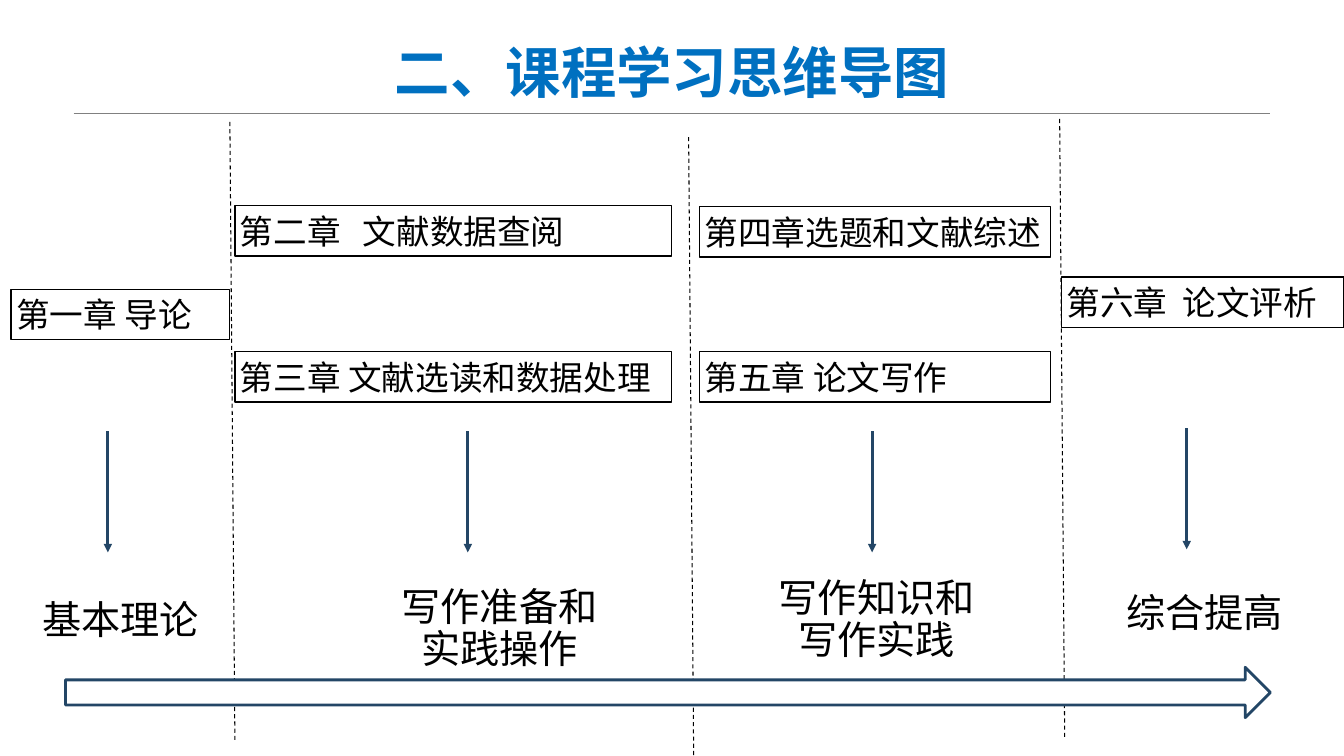
from lxml.etree import SubElement
from pptx import Presentation
from pptx.dml.color import RGBColor
from pptx.enum.dml import MSO_LINE
from pptx.enum.shapes import MSO_CONNECTOR, MSO_SHAPE
from pptx.enum.text import MSO_ANCHOR, PP_ALIGN
from pptx.oxml.ns import qn
from pptx.util import Inches, Pt

BLACK = RGBColor(0x00, 0x00, 0x00)
WHITE = RGBColor(0xFF, 0xFF, 0xFF)
GRAY = RGBColor(0x80, 0x80, 0x80)
BLUE = RGBColor(0x00, 0x70, 0xC0)
NAVY = RGBColor(0x23, 0x46, 0x66)
FONT = "Noto Sans CJK SC"

# text, left, top, width, tab position of the chapter name
CHAPTERS = [
    ("第一章 导论", 0.11, 2.87, 2.17, None),
    ("第二章\t文献数据查阅", 2.33, 2.04, 4.33, 1.22),
    ("第三章 文献选读和数据处理", 2.33, 3.49, 4.33, None),
    ("第四章选题和文献综述", 6.94, 2.05, 3.48, None),
    ("第五章 论文写作", 6.94, 3.49, 3.48, None),
    ("第六章\t论文评析", 10.53, 2.75, 2.8, 1.15),
]
# lines, left, top, width, height
STAGES = [
    (["基本理论"], 0.32, 5.29, 1.75, 1.14),
    (["写作准备和", "实践操作"], 3.39, 5.58, 3.13, 1.14),
    (["写作知识和", "写作实践"], 7.46, 5.07, 2.47, 1.56),
    (["综合提高"], 10.71, 5.29, 2.47, 1.07),
]
DIVIDERS = [(2.28, 1.21, 7.36), (6.83, 1.36, 7.5), (10.51, 1.18, 7.32)]
DIVIDER_SLANT = 0.05
STAGE_ARROWS = [(1.07, 4.28), (4.64, 4.28), (8.65, 4.28), (11.77, 4.25)]
STAGE_ARROW_LENGTH = 1.2


def write_lines(shape, lines, size, color=BLACK, bold=False, anchor=MSO_ANCHOR.BOTTOM,
                align=PP_ALIGN.CENTER, spacing=0.9, tab=None):
    """Fill a shape with one paragraph per line; tab is a left tab stop in inches."""
    frame = shape.text_frame
    frame.word_wrap = True
    frame.vertical_anchor = anchor
    for side in ("left", "top", "right", "bottom"):
        setattr(frame, f"margin_{side}", Inches(0.05))
    for index, line in enumerate(lines):
        para = frame.add_paragraph() if index else frame.paragraphs[0]
        para.alignment = align
        para.line_spacing = spacing
        if tab:
            stops = SubElement(para._p.get_or_add_pPr(), qn("a:tabLst"))
            SubElement(stops, qn("a:tab"), pos=str(Inches(tab)), algn="l")
        span = para.add_run()
        span.text = line
        span.font.color.rgb = color
        for name, value in {"size": Pt(size), "bold": bold, "name": FONT}.items():
            setattr(span.font, name, value)
        SubElement(span._r.get_or_add_rPr(), qn("a:ea"), typeface=FONT)


def add_text(page, lines, left, top, width, height, size, **style):
    box = page.shapes.add_textbox(*map(Inches, (left, top, width, height)))
    write_lines(box, lines, size, **style)


def add_outline(page, preset, left, top, width, height, color, weight):
    shape = page.shapes.add_shape(preset, *map(Inches, (left, top, width, height)))
    shape.shadow.inherit = False
    shape.line.color.rgb = color
    shape.line.width = Pt(weight)
    return shape


def add_chapter(page, text, left, top, width, tab):
    box = add_outline(page, MSO_SHAPE.RECTANGLE, left, top, width, 0.5, BLACK, 1)
    box.fill.background()
    write_lines(box, [text], 24, anchor=MSO_ANCHOR.MIDDLE, align=PP_ALIGN.LEFT,
                spacing=1.0, tab=tab)


def add_line(page, start, end, color, weight, dashed=False, arrow=False):
    line = page.shapes.add_connector(
        MSO_CONNECTOR.STRAIGHT, *map(Inches, (*start, *end)))
    line.line.color.rgb = color
    line.line.width = Pt(weight)
    if dashed:
        line.line.dash_style = MSO_LINE.DASH
    if arrow:
        SubElement(line.line._get_or_add_ln(), qn("a:tailEnd"), type="triangle")
    SubElement(line._element.spPr, qn("a:effectLst"))


def main():
    deck = Presentation()
    deck.slide_width = Inches(13.33)
    deck.slide_height = Inches(7.5)
    page = deck.slides.add_slide(deck.slide_layouts[6])

    add_line(page, (0.73, 1.12), (12.6, 1.12), GRAY, 0.25)
    add_text(page, ["二、课程学习思维导图"], 0.73, 0.41, 11.87, 0.69, 39.6,
             color=BLUE, bold=True)
    for chapter in CHAPTERS:
        add_chapter(page, *chapter)
    for x, top, bottom in DIVIDERS:
        add_line(page, (x, top), (x + DIVIDER_SLANT, bottom), BLACK, 0.75, dashed=True)
    for stage in STAGES:
        add_text(page, *stage, size=28)

    timeline = add_outline(page, MSO_SHAPE.RIGHT_ARROW, 0.65, 6.62, 11.95, 0.5, NAVY, 2)
    timeline.fill.solid()
    timeline.fill.fore_color.rgb = WHITE
    for x, top in STAGE_ARROWS:
        add_line(page, (x, top), (x, top + STAGE_ARROW_LENGTH), NAVY, 2, arrow=True)

    deck.save("out.pptx")


if __name__ == "__main__":
    main()
